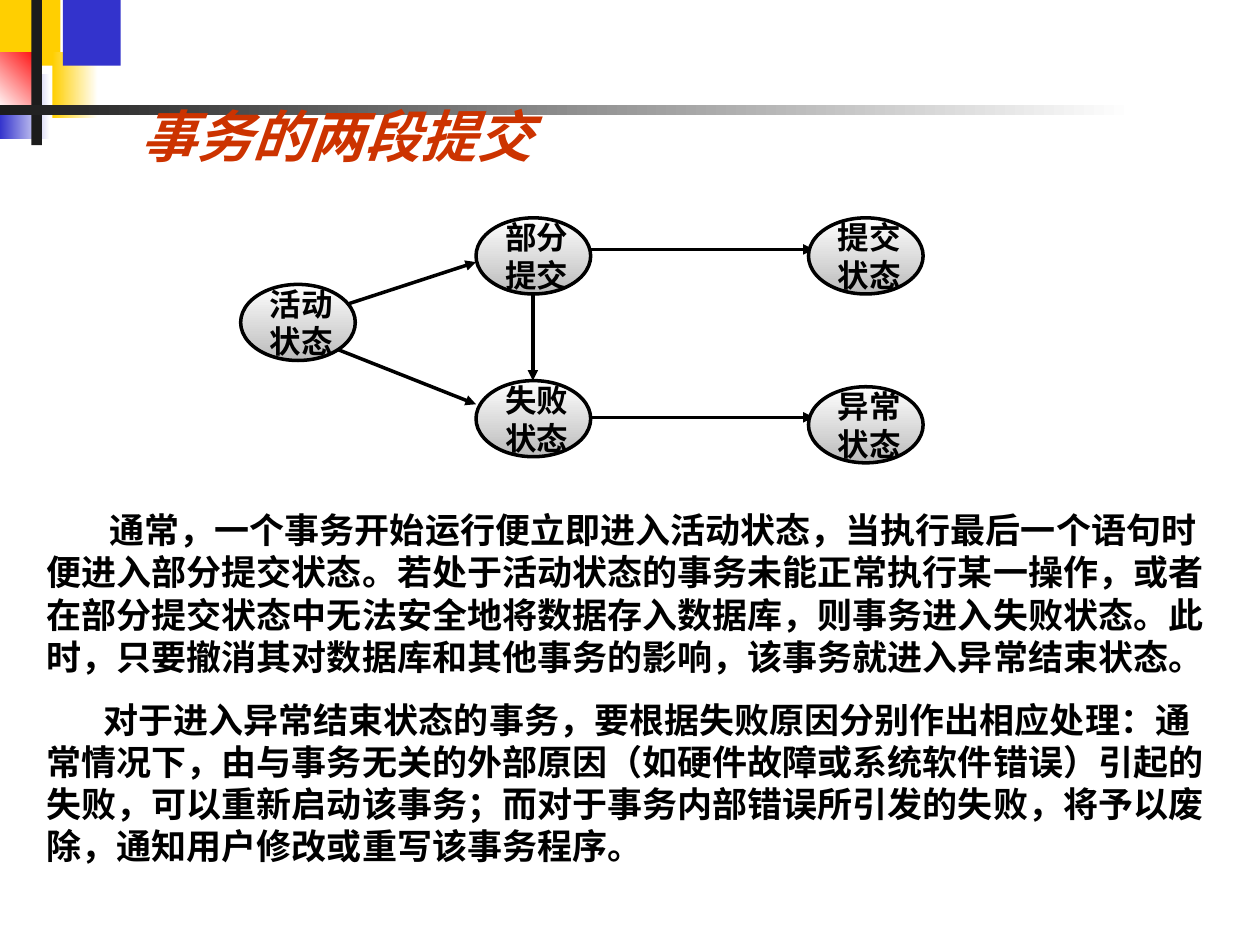
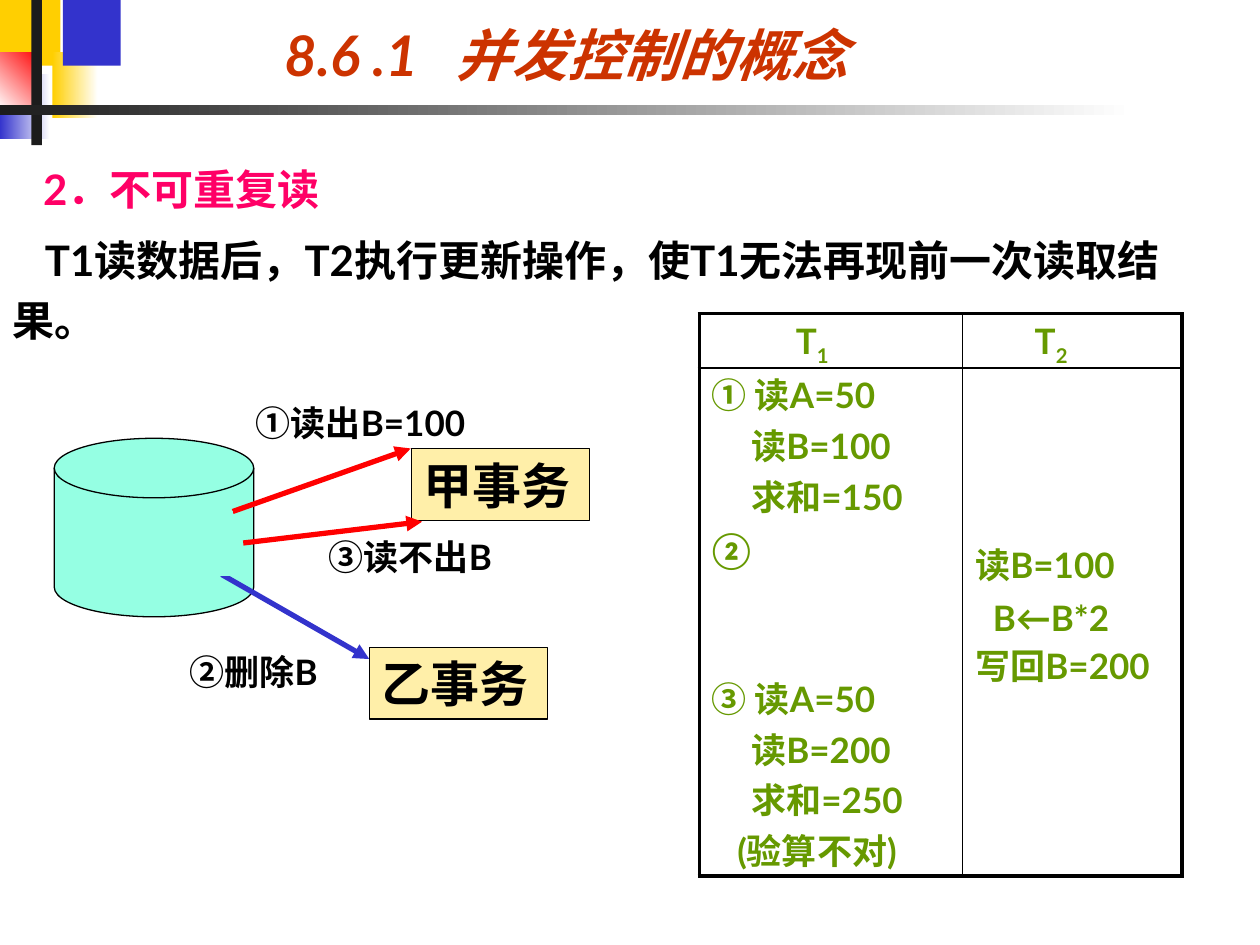
from lxml import etree
from pptx import Presentation
from pptx.dml.color import RGBColor
from pptx.enum import shapes, text
from pptx.oxml import ns
from pptx.util import Pt

# Colours and font
BLACK = RGBColor(0x00, 0x00, 0x00)
WHITE = RGBColor(0xFF, 0xFF, 0xFF)
GREY = RGBColor(0xBB, 0xBB, 0xBB)
DARK = RGBColor(0x1C, 0x1C, 0x1C)
YELLOW = RGBColor(0xFF, 0xCF, 0x01)
BLUE = RGBColor(0x33, 0x33, 0xCC)
RED = RGBColor(0xFF, 0x00, 0x00)
RUST = RGBColor(0xCC, 0x33, 0x00)
PINK = RGBColor(0xFF, 0x00, 0x66)
MINT = RGBColor(0x95, 0xFF, 0xE3)
CREAM = RGBColor(0xFF, 0xEF, 0xA9)
GREEN = RGBColor(0x66, 0x99, 0x00)
FONT = "Lato"

# Master decoration: box, colours (two make a gradient), clockwise angle
DECORATION = [
    ((0, 0, 34.5, 37.5), [YELLOW], 0),
    ((30, 30, 26, 37.5), [YELLOW, WHITE], 0),
    ((36, 0, 33, 37.5), [BLUE], 0),
    ((0, 42, 28.5, 37.5), [BLUE, WHITE], 0),
    ((0, 30, 24, 33), [WHITE, RED], 315),
    ((18, 0, 6, 83), [DARK], 0),
    ((0, 60, 648, 6), [DARK, WHITE], 0),
]

# Slide 1: states (left, top) and transitions (from, to)
COMMIT_TITLE = "事务的两段提交"
STATE_SIZE = (65.5, 43.5)
STATES = [
    ("活动\n状态", 137.5, 162.5),
    ("部分\n提交", 272, 124.5),
    ("失败\n状态", 272, 217.5),
    ("异常\n状态", 462, 221),
    ("提交\n状态", 462, 124.5),
]
TRANSITIONS = [
    ((197.3, 174.2), (272, 149.8)),
    ((192.2, 199.4), (272, 231)),
    ((304.5, 167.5), (304.5, 217.5)),
    ((336.5, 142.5), (465, 142.5)),
    ((336.5, 238.5), (465, 238.5)),
]
# Text lines: text, first-line indent, space before
COMMIT_NOTES = [
    ("通常，一个事务开始运行便立即进入活动状态，当执行最后一个语句时便进入部分提交状态。"
     "若处于活动状态的事务未能正常执行某一操作，或者在部分提交状态中无法安全地将数据存入数据库，"
     "则事务进入失败状态。此时，只要撤消其对数据库和其他事务的影响，该事务就进入异常结束状态。", 36, 0),
    ("对于进入异常结束状态的事务，要根据失败原因分别作出相应处理：通常情况下，"
     "由与事务无关的外部原因（如硬件故障或系统软件错误）引起的失败，可以重新启动该事务；"
     "而对于事务内部错误所引发的失败，将予以废除，通知用户修改或重写该事务程序。", 32.5, 12.5),
]

# Slide 2: heading, diagram and schedule
READ_TITLE = "8.6 .1\t并发控制的概念"
READ_BODY = [
    ("2．不可重复读", 17.5, 0),
    ("T1读数据后，T2执行更新操作，使T1无法再现前一次读取结果。", 18.5, 6),
]
DISK = (31, 250.5, 114, 102)
DISK_PATCH = (43, 292.5, 90, 36.5)
TRANSACTIONS = [("甲事务", 235, 256.5), ("乙事务", 211, 370)]
OPERATIONS = [
    ((133, 292.3), (234.7, 256.3), RED),
    ((139, 310.3), (241.2, 298.1), RED),
    ((126.7, 328.3), (211, 376.6), BLUE),
]
OPERATION_LABELS = [
    ("①读出B=100", (139, 226, 168, 31.5)),
    ("③读不出B", (180.7, 302.5, 138, 29)),
    ("②删除B", (101.2, 368, 104, 31.5)),
]
SCHEDULE_ORIGIN = (399.6, 179.3)
SCHEDULE_WIDTHS = (150.5, 125.3)
SCHEDULE_HEIGHTS = (31, 290.2)
SCHEDULE_HEADS = [("1", 48), ("2", 34)]
SCHEDULE_STEPS = [
    [("① 读A=50", 0, 0), ("读B=100", 22.5, 5), ("求和=150", 22.5, 5),
     ("②", 0, 5), ("③ 读A=50", 0, 62.5), ("读B=200", 22.5, 5),
     ("求和=250", 22.5, 5), ("(验算不对)", 14.5, 5)],
    [("读B=100", 0, 0), ("B←B*2", 10, 5), ("写回B=200", 0, 5)],
]
STEP_TOPS = (5, 102)
STEP_PITCH = Pt(24)  # fixed, so that every step line has the same height


def points(values):
    return [Pt(value) for value in values]


def style(span, size, color, italic=False):
    font = span.font
    font.name, font.size, font.bold, font.italic = FONT, Pt(size), True, italic
    font.color.rgb = color


def write(frame, lines, size, color, spacing=None):
    """Fill a text frame with (text, first-line indent, space before) lines."""
    frame.text = "\n".join(line[0] for line in lines)
    for para, (_, indent, before) in zip(frame.paragraphs, lines):
        props = para._p.get_or_add_pPr()
        props.set("marL", "0")
        props.set("indent", str(Pt(indent)))
        para.alignment = text.PP_ALIGN.LEFT
        para.space_before = Pt(before)
        if spacing:
            para.line_spacing = spacing
        etree.SubElement(props, ns.qn("a:buNone"))
        for span in para.runs:
            style(span, size, color)


def add_block(page, kind, box, colors, angle=0, line=None, width=0.75):
    block = page.shapes.add_shape(kind, *points(box))
    block.shadow.inherit = False
    if len(colors) == 1:
        block.fill.solid()
        block.fill.fore_color.rgb = colors[0]
    else:
        block.fill.gradient()
        block.fill.gradient_angle = (360 - angle) % 360
        for stop, color in zip(block.fill.gradient_stops, colors):
            stop.color.rgb = color
    if line is None:
        block.line.fill.background()
    else:
        block.line.color.rgb = line
        block.line.width = Pt(width)
    return block


def add_arrow(page, start, end, color, width):
    arrow = page.shapes.add_connector(
        shapes.MSO_CONNECTOR.STRAIGHT, *points(start + end))
    arrow.line.color.rgb = color
    arrow.line.width = Pt(width)
    etree.SubElement(arrow.line._get_or_add_ln(), ns.qn("a:tailEnd"), type="triangle")
    etree.SubElement(arrow.element.spPr, ns.qn("a:effectLst"))


def add_text(page, box, lines, size):
    label = page.shapes.add_textbox(*points(box))
    label.text_frame.word_wrap = True
    write(label.text_frame, lines, size, BLACK)


def place(holder, box):
    holder.left, holder.top, holder.width, holder.height = points(box)
    holder.text_frame.auto_size = text.MSO_AUTO_SIZE.NONE


def set_title(page, title, box):
    holder = page.shapes.title
    place(holder, box)
    frame = holder.text_frame
    frame.vertical_anchor = text.MSO_ANCHOR.BOTTOM
    frame.text = title
    frame.paragraphs[0].alignment = text.PP_ALIGN.LEFT
    for span in frame.paragraphs[0].runs:
        style(span, 32, RUST, italic=True)
    return frame


def decorate_master(deck, page):
    """Draw the corner blocks and the band, then move them to the master."""
    tree = deck.slide_master.shapes.element
    for index, (box, colors, angle) in enumerate(DECORATION):
        block = add_block(page, shapes.MSO_SHAPE.RECTANGLE, box, colors, angle)
        block.element.nvSpPr.cNvPr.set("id", str(20 + index))
        tree.insert(2 + index, block.element)


def set_borders(cell, widths):
    """Border widths in the order left, right, top, bottom."""
    props = cell._tc.get_or_add_tcPr()
    for index, (side, width) in enumerate(zip("LRTB", widths)):
        border = etree.Element(ns.qn("a:ln" + side), w=str(Pt(width)))
        fill = etree.SubElement(border, ns.qn("a:solidFill"))
        etree.SubElement(fill, ns.qn("a:srgbClr"), val=str(BLACK))
        props.insert(index, border)


def add_schedule(page):
    size = (sum(SCHEDULE_WIDTHS), sum(SCHEDULE_HEIGHTS))
    table = page.shapes.add_table(2, 2, *points(SCHEDULE_ORIGIN + size)).table
    table.first_row = table.horz_banding = False
    for row, height in zip(table.rows, SCHEDULE_HEIGHTS):
        row.height = Pt(height)
    for index, width in enumerate(SCHEDULE_WIDTHS):
        table.columns[index].width = Pt(width)
        head, steps = table.cell(0, index), table.cell(1, index)
        sides = (2.25, 1) if index == 0 else (1, 2.25)
        for cell, edges in ((head, (2.25, 1)), (steps, (1, 2.25))):
            cell.fill.background()
            cell.margin_left = cell.margin_right = Pt(7.2)
            cell.margin_top, cell.margin_bottom = Pt(3.6), Pt(0)
            set_borders(cell, sides + edges)
        number, indent = SCHEDULE_HEADS[index]
        write(head.text_frame, [("T", indent, 0)], 20, GREEN)
        span = head.text_frame.paragraphs[0].add_run()
        span.text = number
        style(span, 20, GREEN)
        span._r.get_or_add_rPr().set("baseline", "-25000")
        steps.margin_top = Pt(STEP_TOPS[index])
        write(steps.text_frame, SCHEDULE_STEPS[index], 20, GREEN, STEP_PITCH)


def build_commit_page(page):
    set_title(page, COMMIT_TITLE, (73, 55.5, 582, 44.5))
    for start, end in TRANSITIONS:
        add_arrow(page, start, end, BLACK, 2)
    for name, left, top in STATES:
        state = add_block(page, shapes.MSO_SHAPE.OVAL, (left, top) + STATE_SIZE,
                          [WHITE, GREY], 90, BLACK, 2)
        frame = state.text_frame
        frame.word_wrap = False
        frame.margin_left = Pt(10.8)
        frame.vertical_anchor = text.MSO_ANCHOR.MIDDLE
        write(frame, [(line, 0, 0) for line in name.split("\n")], 18, BLACK)
        for para in frame.paragraphs:
            para.alignment = text.PP_ALIGN.CENTER
    add_text(page, (19.5, 287.3, 680.5, 211.7), COMMIT_NOTES, 20)


def build_read_page(page):
    frame = set_title(page, READ_TITLE, (84, 0, 486, 54))
    frame.margin_left = Pt(78.5)
    tabs = etree.SubElement(frame.paragraphs[0]._p.get_or_add_pPr(), ns.qn("a:tabLst"))
    etree.SubElement(tabs, ns.qn("a:tab"), pos=str(Pt(98)), algn="l")

    body = page.placeholders[1]
    place(body, (0, 84, 683, 162))
    write(body.text_frame, READ_BODY, 24, BLACK, spacing=1.2)
    body.text_frame.paragraphs[0].runs[0].font.color.rgb = PINK

    # Database, transactions and their operations
    add_block(page, shapes.MSO_SHAPE.FLOWCHART_MAGNETIC_DISK, DISK, [MINT], line=BLACK)
    for name, left, top in TRANSACTIONS:
        box = add_block(page, shapes.MSO_SHAPE.RECTANGLE, (left, top, 102, 41),
                        [CREAM], line=BLACK)
        write(box.text_frame, [(name, 0, 0)], 28, BLACK)
    for start, end, color in OPERATIONS:
        add_arrow(page, start, end, color, 3)
    for label, box in OPERATION_LABELS:
        add_text(page, box, [(label, 0, 0)], 20)
    add_block(page, shapes.MSO_SHAPE.RECTANGLE, DISK_PATCH, [MINT], line=MINT)

    add_schedule(page)


def main():
    deck = Presentation()
    deck.slide_width, deck.slide_height = Pt(720), Pt(540)
    commit_page = deck.slides.add_slide(deck.slide_layouts[5])
    decorate_master(deck, commit_page)
    build_commit_page(commit_page)
    build_read_page(deck.slides.add_slide(deck.slide_layouts[1]))
    deck.save("out.pptx")


if __name__ == "__main__":
    main()
